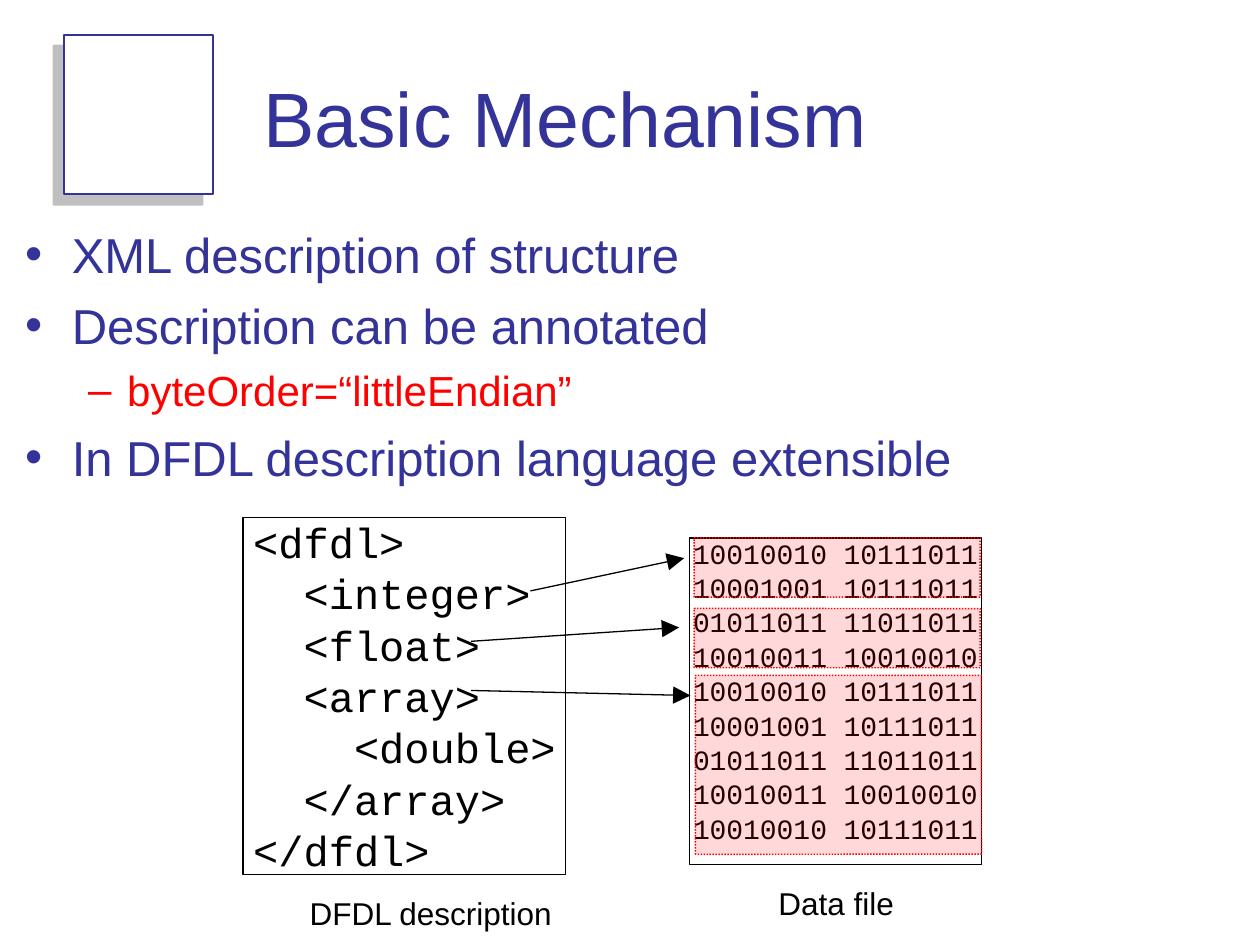
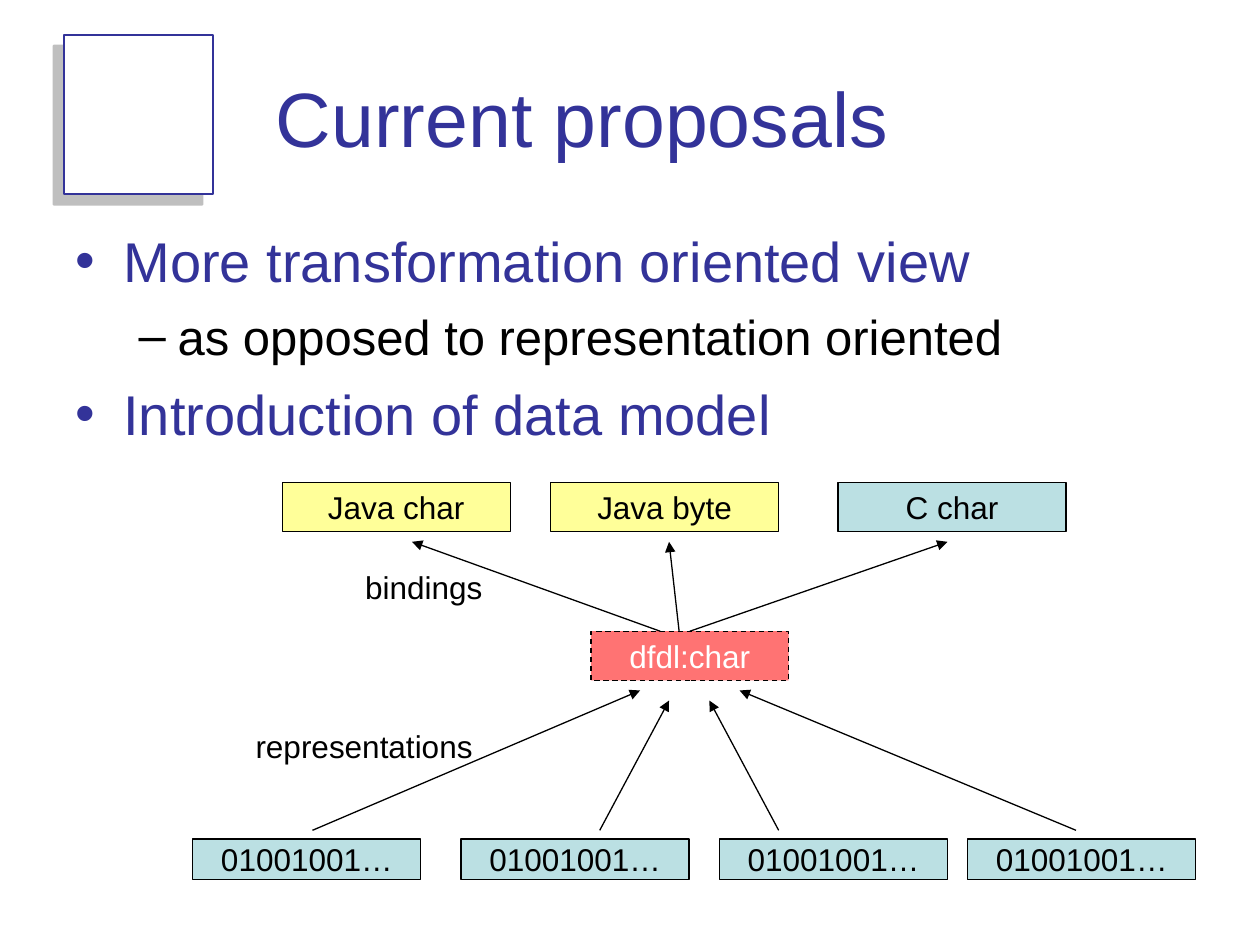
from lxml import etree
from pptx import Presentation
from pptx.dml.color import RGBColor
from pptx.enum import dml, shapes, text
from pptx.oxml import ns
from pptx.util import Inches, Pt

NAVY = RGBColor(0x33, 0x33, 0x99)
RED = RGBColor(0xFF, 0x00, 0x00)
BLACK = RGBColor(0x00, 0x00, 0x00)
WHITE = RGBColor(0xFF, 0xFF, 0xFF)
YELLOW = RGBColor(0xFF, 0xFF, 0x99)
TEAL = RGBColor(0xBB, 0xE0, 0xE3)
SANS, MONO = "Arial", "Courier New"


def add_box(page, at, fill=None, line=BLACK, width=0.75, dash=None, opacity=None,
            rounding=None, words="", color=BLACK):
    """Add a rectangle; opacity is a percentage, rounding a corner ratio."""
    kind = shapes.MSO_SHAPE.RECTANGLE if rounding is None else shapes.MSO_SHAPE.ROUNDED_RECTANGLE
    box = page.shapes.add_shape(kind, *map(Inches, at))
    box.shadow.inherit = False
    if rounding is not None:
        box.adjustments[0] = rounding
    if fill is None:
        box.fill.background()
    else:
        box.fill.solid()
        box.fill.fore_color.rgb = fill
    if opacity is not None:
        tint = box.fill._xPr.find(".//" + ns.qn("a:srgbClr"))
        etree.SubElement(tint, ns.qn("a:alpha"), val=str(opacity * 1000))
    box.line.color.rgb = line
    box.line.width = Pt(width)
    if dash is not None:
        box.line.dash_style = dash
    if words:
        frame = box.text_frame
        frame.word_wrap = False
        frame.vertical_anchor = text.MSO_ANCHOR.MIDDLE
        frame.text = words
        para = frame.paragraphs[0]
        para.alignment = text.PP_ALIGN.CENTER
        span = para.runs[0].font
        span.name, span.size, span.color.rgb = SANS, Pt(18), color
    return box


def add_arrow(page, start, end, head="med"):
    arrow = page.shapes.add_connector(shapes.MSO_CONNECTOR.STRAIGHT, *map(Inches, start + end))
    arrow.line.color.rgb = BLACK
    arrow.line.width = Pt(0.75)
    etree.SubElement(arrow.line._get_or_add_ln(), ns.qn("a:tailEnd"),
                     type="triangle", w=head, len=head)
    etree.SubElement(arrow._element.spPr, ns.qn("a:effectLst"))
    return arrow


deck = Presentation()
deck.slide_width, deck.slide_height = Inches(10), Inches(7.5)
layout = deck.slide_layouts[1]
mechanism = deck.slides.add_slide(layout)
proposals = deck.slides.add_slide(layout)

# Shadowed square shared through the layout
badge = add_box(mechanism, (0.51, 0.28, 1.18, 1.26), WHITE, NAVY, 1.25)
effects = badge._element.spPr.find(ns.qn("a:effectLst"))
shadow = etree.SubElement(effects, ns.qn("a:outerShdw"), dist=str(Pt(8.5)), dir="8100000",
                          algn="ctr", rotWithShape="0")
grey = etree.SubElement(shadow, ns.qn("a:srgbClr"), val="808080")
etree.SubElement(grey, ns.qn("a:alpha"), val="50000")
badge._element.nvSpPr.cNvPr.set("id", "20")
layout.shapes._spTree.insert(2, badge._element)

# Titles and lists: level, words, size, colour, space before
contents = [
    (mechanism, "Basic Mechanism", (0.2, 1.78, 9.21, 2.25), 0, 0.37, [
        (0, "XML description of structure", 28, NAVY, 0),
        (0, "Description can be annotated", 28, NAVY, 7),
        (1, "byteOrder=“littleEndian”", 24, RED, 6),
        (0, "In DFDL description language extensible", 28, NAVY, 7),
    ]),
    (proposals, "Current proposals", (0.5, 1.75, 9, 2.08), 0.1, 0.38, [
        (0, "More transformation oriented view", 32, NAVY, 0),
        (1, "as opposed to representation oriented", 28, BLACK, 7),
        (0, "Introduction of data model", 32, NAVY, 8),
    ]),
]
for page, heading, list_at, inset, top_indent, items in contents:
    title, body = page.shapes.title, page.placeholders[1]
    for holder, at in ((title, (2.09, 0.3, 7.41, 1.25)), (body, list_at)):
        holder.left, holder.top, holder.width, holder.height = map(Inches, at)
        frame = holder.text_frame
        frame.auto_size = text.MSO_AUTO_SIZE.NONE
        frame.margin_left = frame.margin_right = Inches(inset)
        frame.margin_top = frame.margin_bottom = Inches(inset / 2)
    title.text_frame.text = heading
    title.text_frame.vertical_anchor = text.MSO_ANCHOR.MIDDLE
    para = title.text_frame.paragraphs[0]
    para.alignment = text.PP_ALIGN.LEFT
    span = para.runs[0].font
    span.name, span.size, span.color.rgb = SANS, Pt(44), NAVY

    body.text_frame.text = "\n".join(item[1] for item in items)
    for para, (level, _, size, color, before) in zip(body.text_frame.paragraphs, items):
        para.level = level
        para.space_before = Pt(before)
        props = para._p.get_or_add_pPr()
        indent, hang = ((top_indent, top_indent), (0.81, 0.31))[level]
        props.set("marL", str(Inches(indent)))
        props.set("indent", str(-Inches(hang)))
        bullet_color = etree.SubElement(props, ns.qn("a:buClr"))
        etree.SubElement(bullet_color, ns.qn("a:srgbClr"), val=str(color))
        etree.SubElement(props, ns.qn("a:buFont"), typeface=SANS)
        etree.SubElement(props, ns.qn("a:buChar"), char="•–"[level])
        span = para.runs[0].font
        span.name, span.size, span.color.rgb = SANS, Pt(size), color

# Basic Mechanism: description beside data
description = """<dfdl>
  <integer>
  <float>
  <array>
    <double>
  </array>
</dfdl>"""
data = """10010010 10111011
10001001 10111011
01011011 11011011
10010011 10010010
10010010 10111011
10001001 10111011
01011011 11011011
10010011 10010010
10010010 10111011"""
listings = [
    ((1.93, 4.11, 2.56, 2.83), description, 24, 29.4, 0.08),
    ((5.47, 4.27, 2.32, 2.59), data, 16, 19.65, 0.03),
]
for at, code, size, pitch, inset in listings:
    frame = add_box(mechanism, at).text_frame
    frame.word_wrap = True
    frame.vertical_anchor = text.MSO_ANCHOR.TOP
    frame.margin_left = Inches(inset)
    frame.margin_top = frame.margin_right = frame.margin_bottom = 0
    frame.text = code
    for para in frame.paragraphs:
        para.alignment = text.PP_ALIGN.LEFT
        para.line_spacing = Pt(pitch)
        span = para.runs[0].font
        span.name, span.size, span.color.rgb = MONO, Pt(size), BLACK
    frame.paragraphs[0].line_spacing = Pt(pitch - 1.5)

for left, top, height in ((5.51, 4.27, 0.47), (5.51, 4.83, 0.47), (5.52, 5.36, 1.42)):
    add_box(mechanism, (left, top, 2.27, height), RED, RED, 0.85,
            dml.MSO_LINE.ROUND_DOT, 15, 0.005)
for start, end in (((4.21, 4.69), (5.43, 4.43)), ((3.74, 5.09), (5.39, 4.98)),
                   ((3.74, 5.48), (5.48, 5.52))):
    add_arrow(mechanism, start, end, "lg")

# Current proposals: representations below, bindings above
for left, start, end in ((1.53, 2.48, (5.08, 5.48)), (3.66, 4.76, (5.31, 5.56)),
                         (5.71, 6.18, (5.63, 5.56)), (7.68, 8.54, (5.87, 5.48))):
    add_box(proposals, (left, 6.66, 1.81, 0.32), TEAL, words="01001001…")
    add_arrow(proposals, (start, 6.59), end)
model = add_box(proposals, (4.69, 5.01, 1.57, 0.39), RED, dash=dml.MSO_LINE.DASH,
                opacity=55, words="dfdl:char", color=WHITE)
for left, name, fill, start, end in ((2.24, "Java char", YELLOW, 5.24, 3.27),
                                     (4.37, "Java byte", YELLOW, 5.39, 5.31),
                                     (6.65, "C char", TEAL, 5.47, 7.52)):
    add_box(proposals, (left, 3.83, 1.81, 0.39), fill, words=name)
    arrow = add_arrow(proposals, (start, 5.01), (end, 4.3))
arrow.begin_connect(model, 0)

# Captions on both slides
for page, words, at in ((mechanism, "DFDL description", (2.36, 7.05, 2.2, 0.4)),
                        (mechanism, "Data file", (6.08, 6.97, 1.25, 0.4)),
                        (proposals, "bindings", (2.8, 4.46, 1.2, 0.4)),
                        (proposals, "representations", (1.93, 5.72, 2, 0.4))):
    frame = page.shapes.add_textbox(*map(Inches, at)).text_frame
    frame.word_wrap = True
    frame.text = words
    span = frame.paragraphs[0].runs[0].font
    span.name, span.size, span.color.rgb = SANS, Pt(18), BLACK

deck.save("out.pptx")
